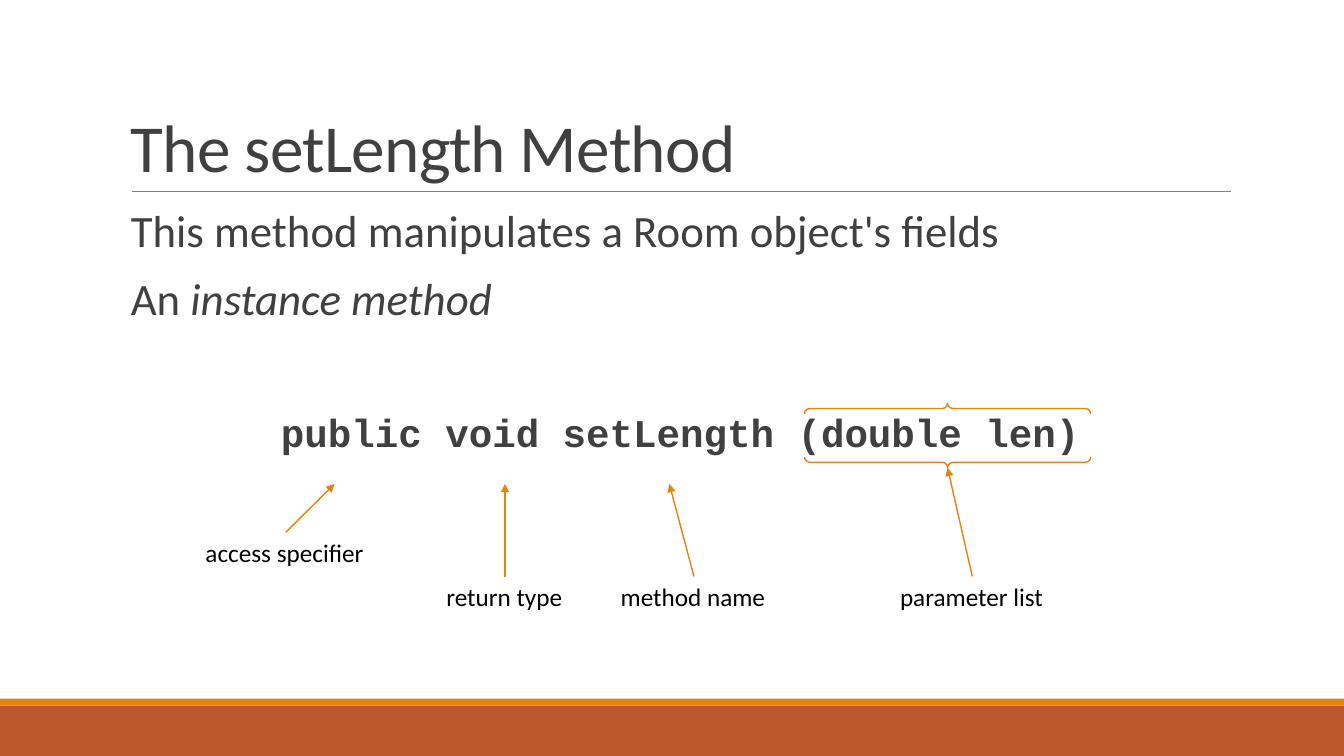
from pptx import Presentation
from pptx.dml.color import RGBColor as RGB
from pptx.enum.shapes import MSO_CONNECTOR as CONN, MSO_SHAPE as SHAPE
from pptx.enum.text import MSO_ANCHOR as ANCHOR, MSO_AUTO_SIZE as FIT, PP_ALIGN as ALIGN
from pptx.oxml.ns import qn
from pptx.util import Pt
from lxml.etree import SubElement

COLORS = {"ink": "404040", "label": "000000", "rule": "808080",
          "accent": "E48312", "footer": "BD582C"}


class Deck:
    """Hold the style and the current slide, and draw elements in points."""

    font, code_font = "Calibri", "Courier New"

    def __init__(self, width, height):
        self.prs = Presentation()
        self.prs.slide_width, self.prs.slide_height = Pt(width), Pt(height)
        self.s = self.prs.slides.add_slide(self.prs.slide_layouts[6])

    def color(self, name):
        return RGB.from_string(COLORS[name])

    def shape(self, kind, x, y, w, h, fill=None, line=None, rotation=0):
        sp = self.s.shapes.add_shape(kind, Pt(x), Pt(y), Pt(w), Pt(h))
        sp.shadow.inherit = False
        sp.rotation = rotation
        if fill:
            sp.fill.solid()
            sp.fill.fore_color.rgb = self.color(fill)
        else:
            sp.fill.background()
        if line:
            sp.line.color.rgb = self.color(line)
            sp.line.width = Pt(1)
        else:
            sp.line.fill.background()
        return sp

    def line(self, x1, y1, x2, y2, color, width, arrow=False):
        cn = self.s.shapes.add_connector(CONN.STRAIGHT, Pt(x1), Pt(y1), Pt(x2), Pt(y2))
        cn.line.color.rgb = self.color(color)
        cn.line.width = Pt(width)
        if arrow:
            SubElement(cn.line._get_or_add_ln(), qn("a:tailEnd"), type="triangle")
        SubElement(cn._element.spPr, qn("a:effectLst"))
        return cn

    def box(self, x, y, w, h, anchor=ANCHOR.TOP, wrap=True):
        sp = self.s.shapes.add_textbox(Pt(x), Pt(y), Pt(w), Pt(h))
        tf = sp.text_frame
        tf.word_wrap, tf.vertical_anchor = wrap, anchor
        return sp

    def run(self, p, text, size, color="ink", font=None, bold=False, italic=False, spacing=0):
        r = p.add_run()
        r.text = text
        f = r.font
        f.name, f.size, f.bold, f.italic = font or self.font, Pt(size), bold, italic
        f.color.rgb = self.color(color)
        if spacing:
            f._element.set("spc", str(round(spacing * 100)))

    def title(self, text):
        p = self.box(86.4, 22.3, 792, 114.5, ANCHOR.BOTTOM).text_frame.paragraphs[0]
        p.line_spacing = 0.85
        self.run(p, text, 48, spacing=-0.5)

    def body(self, paragraphs):
        tf = self.box(86.4, 145.4, 792, 316.8).text_frame
        tf.margin_right = 0
        for i, (before, align, runs) in enumerate(paragraphs):
            p = tf.paragraphs[0] if i == 0 else tf.add_paragraph()
            p.alignment, p.line_spacing = align, 0.9
            p.space_before, p.space_after = Pt(before), Pt(2)
            for text, size, style in runs:
                self.run(p, text, size, **style)

    def callout(self, text, x, y, w, tip_x, tip_y):
        sp = self.box(x, y, w, 29, wrap=False)
        sp.text_frame.auto_size = FIT.SHAPE_TO_FIT_TEXT
        self.run(sp.text_frame.paragraphs[0], text, 18, "label")
        cn = self.line(x + w / 2, y, tip_x, tip_y, "accent", 1, arrow=True)
        cn.begin_connect(sp, 0)


def main():
    deck = Deck(960, 540)
    deck.shape(SHAPE.RECTANGLE, 0, 504, 960, 36, fill="footer")
    deck.shape(SHAPE.RECTANGLE, 0, 499, 960, 5, fill="accent")
    deck.line(94.3, 136.8, 879.1, 136.8, "rule", 0.5)
    deck.title("The setLength Method")
    deck.body([
        (0, ALIGN.LEFT, [("This method manipulates a Room object's fields", 32, {})]),
        (12, ALIGN.LEFT, [("An ", 32, {}), ("instance method", 32, {"italic": True})]),
        (61, ALIGN.CENTER, [("public void setLength (double len)", 28,
                             {"font": deck.code_font, "bold": True})]),
    ])
    for callout in [
        ("access specifier", 139.7, 380.2, 128.9, 239, 345.6),
        ("return type", 311.8, 411.8, 97.9, 360.75, 345.6),
        ("method name", 436.3, 411.8, 118.8, 478.1, 345.6),
        ("parameter list", 635.8, 411.8, 117.4, 676.8, 334.1),
    ]:
        deck.callout(*callout)
    deck.shape(SHAPE.DOUBLE_BRACE, 653.8, 208.8, 46.1, 204.5, line="accent", rotation=90)
    deck.prs.save("out.pptx")


if __name__ == "__main__":
    main()
